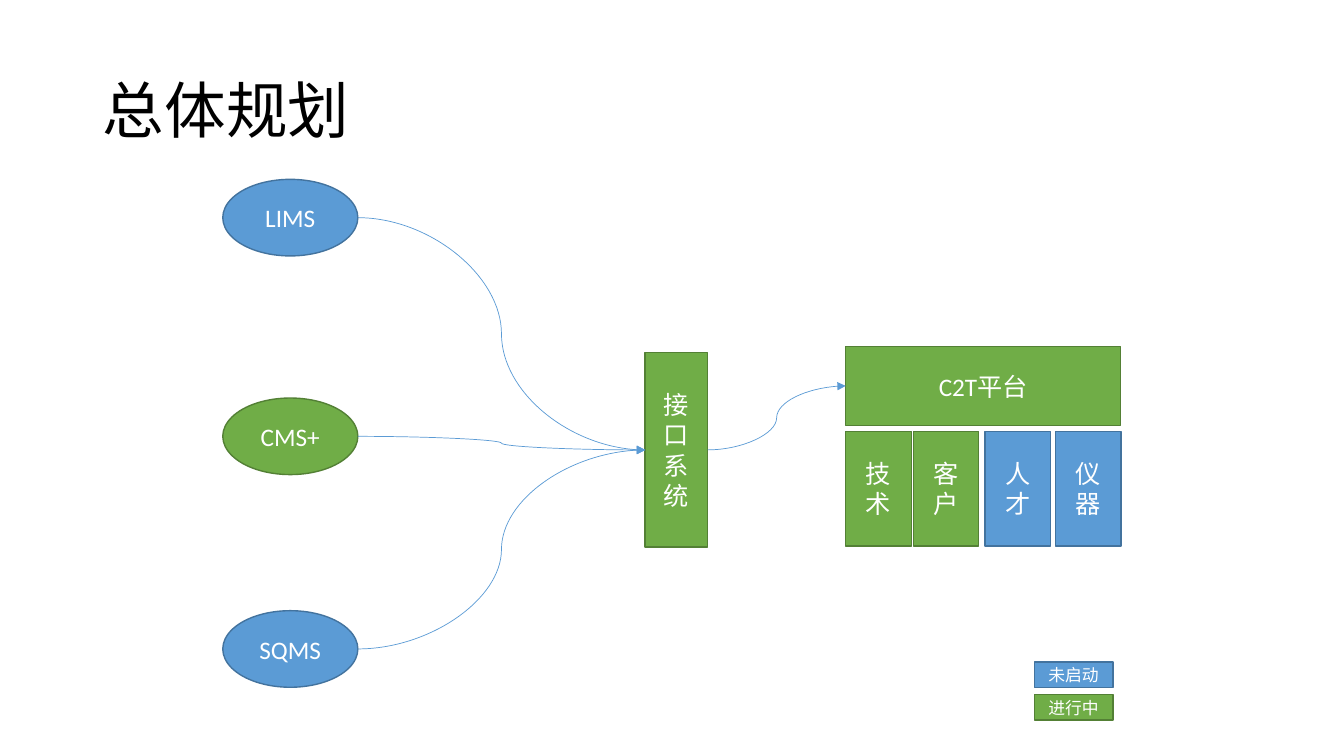
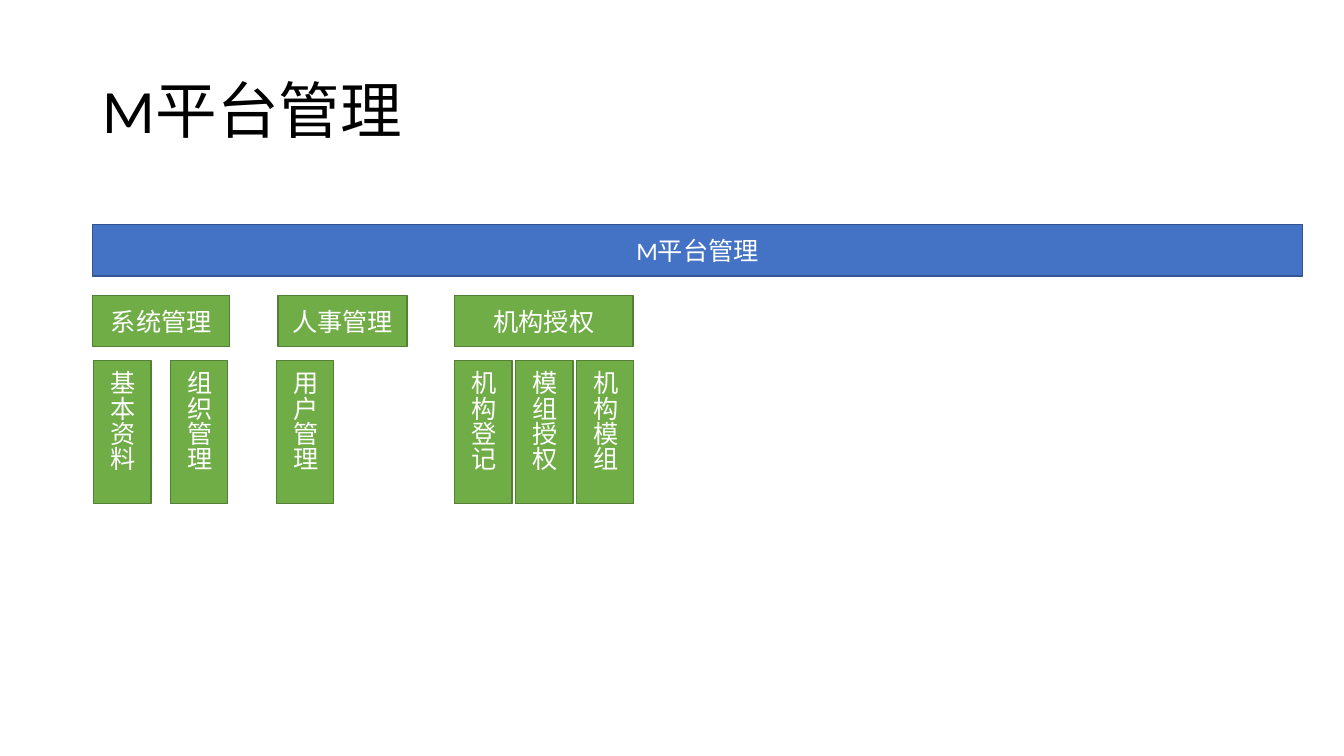
from dataclasses import dataclass
from pptx import Presentation
from pptx.dml.color import RGBColor
from pptx.enum.shapes import MSO_CONNECTOR, MSO_SHAPE
from pptx.enum.text import MSO_ANCHOR, MSO_AUTO_SIZE, PP_ALIGN
from pptx.oxml.ns import qn
from pptx.util import Inches, Pt
from lxml.etree import SubElement


@dataclass(frozen=True)
class Theme:
    font: str = "Calibri"
    ink: str = "000000"
    paper: str = "FFFFFF"
    waiting: tuple = ("5B9BD5", "43739E")
    active: tuple = ("70AD47", "538035")
    banner: tuple = ("4472C4", "325491")
    link: str = "5B9BD5"
    title_size: int = 44
    body_size: int = 18
    legend_size: int = 12
    outline: float = 1
    link_width: float = 0.5


def apply(target, values):
    for name, value in values.items():
        setattr(target, name, value)


class Board:
    COLUMNS, WIDTH, HEIGHT = 40, 13.33, 7.5
    TITLE_AREA = (2.76, 1.2, 34.5, 4.35)

    def __init__(self, theme):
        self.theme = theme
        self.deck = Presentation()
        apply(self.deck, {"slide_width": Inches(self.WIDTH), "slide_height": Inches(self.HEIGHT)})
        self.page = None

    def cells(self, *counts):
        return [round(count * self.deck.slide_width / self.COLUMNS) for count in counts]

    def label(self, box, text, size, color, align, spacing=None):
        frame = box.text_frame
        apply(frame, {"word_wrap": True, "auto_size": MSO_AUTO_SIZE.NONE,
                      "vertical_anchor": MSO_ANCHOR.MIDDLE})
        para = frame.paragraphs[0]
        apply(para, {"alignment": align, "line_spacing": spacing})
        span = para.add_run()
        span.text = text
        apply(span.font, {"name": self.theme.font, "size": Pt(size)})
        span.font.color.rgb = RGBColor.from_string(color)

    def new_page(self, title):
        self.page = self.deck.slides.add_slide(self.deck.slide_layouts[5])
        box = self.page.shapes.title
        apply(box, dict(zip(("left", "top", "width", "height"), self.cells(*self.TITLE_AREA))))
        self.label(box, title, self.theme.title_size, self.theme.ink, PP_ALIGN.LEFT, 0.9)

    def block(self, text, area, tone, shape=MSO_SHAPE.RECTANGLE, size=None, vertical=False):
        fill, line = tone
        box = self.page.shapes.add_shape(shape, *self.cells(*area))
        box.shadow.inherit = False
        box.fill.solid()
        box.fill.fore_color.rgb = RGBColor.from_string(fill)
        box.line.color.rgb = RGBColor.from_string(line)
        box.line.width = Pt(self.theme.outline)
        self.label(box, text, size or self.theme.body_size, self.theme.paper, PP_ALIGN.CENTER)
        if vertical:
            box.text_frame._txBody.bodyPr.set("vert", "eaVert")
        return box

    def arrow(self, source, target):
        link = self.page.shapes.add_connector(
            MSO_CONNECTOR.CURVE,
            source.left + source.width, source.top + source.height // 2,
            target.left, target.top + target.height // 2)
        link.line.color.rgb = RGBColor.from_string(self.theme.link)
        link.line.width = Pt(self.theme.link_width)
        outline = link._element.spPr.find(qn("a:ln"))
        SubElement(outline, qn("a:tailEnd"), type="triangle")
        SubElement(link._element.spPr, qn("a:effectLst"))


def build_overview(board):
    theme = board.theme
    board.new_page("总体规划")
    systems = [board.block(name, (6.63, top, 4.02, 2.28), tone, MSO_SHAPE.OVAL)
               for name, top, tone in (("LIMS", 5.34, theme.waiting),
                                       ("CMS+", 11.85, theme.active),
                                       ("SQMS", 18.18, theme.waiting))]
    platform = board.block("C2T平台", (25.17, 10.32, 8.19, 2.34), theme.active)
    for name, left, tone in (("技术", 25.17, theme.active), ("客户", 27.18, theme.active),
                             ("人才", 29.31, theme.waiting), ("仪器", 31.41, theme.waiting)):
        board.block(name, (left, 12.84, 1.95, 3.42), tone)
    interface = board.block("接口系统", (19.2, 10.5, 1.86, 5.79), theme.active)
    for system in systems:
        board.arrow(system, interface)
    board.arrow(interface, platform)
    for row, (name, tone) in enumerate((("未启动", theme.waiting), ("进行中", theme.active))):
        board.block(name, (30.78, 19.71 + 0.97 * row, 2.34, 0.75), tone, size=theme.legend_size)


def build_management(board):
    theme = board.theme
    board.new_page("M平台管理")
    board.block("M平台管理", (2.76, 6.69, 36, 1.53), theme.banner)
    groups = (
        ("系统管理", 2.76, 4.08, 2.79, 2.28, ("基本资料", "组织管理")),
        ("人事管理", 8.28, 3.84, 8.22, 0, ("用户管理",)),
        ("机构授权", 13.53, 5.31, 13.53, 1.81, ("机构登记", "模组授权", "机构模组")),
    )
    for heading, left, width, first, step, modules in groups:
        board.block(heading, (left, 8.79, width, 1.53), theme.active)
        for column, module in enumerate(modules):
            board.block(module, (first + step * column, 10.74, 1.71, 4.26),
                        theme.active, vertical=True)


board = Board(Theme())
build_overview(board)
build_management(board)
board.deck.save("out.pptx")
